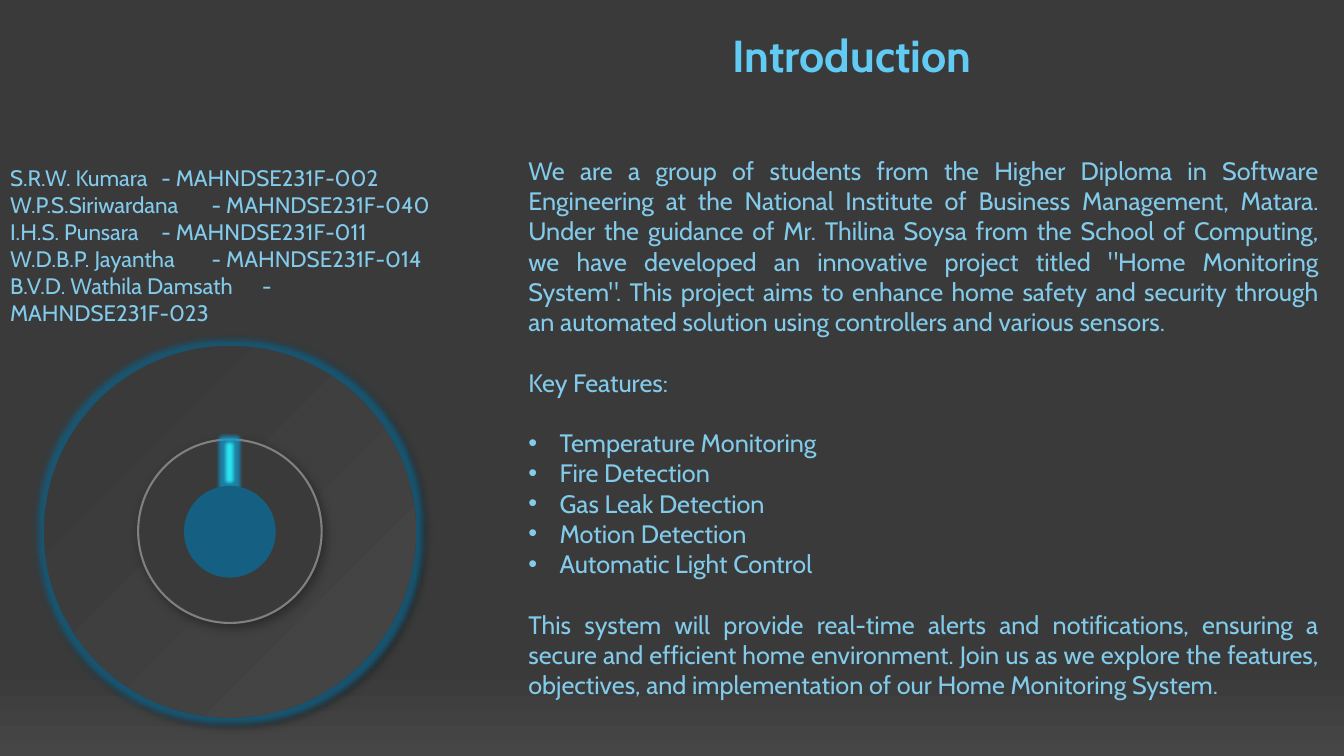
from lxml.etree import SubElement
from pptx import Presentation
from pptx.dml.color import RGBColor
from pptx.enum.shapes import MSO_SHAPE
from pptx.enum.text import MSO_ANCHOR, MSO_AUTO_SIZE, PP_ALIGN
from pptx.oxml import parse_xml
from pptx.oxml.ns import nsdecls, qn
from pptx.util import Inches, Pt

NAMES = [
    ("S.R.W. Kumara", "002"),
    ("W.P.S.Siriwardana", "040"),
    ("I.H.S. Punsara", "011"),
    ("W.D.B.P. Jayantha", "014"),
    ("B.V.D. Wathila Damsath", "023"),
]
INTRO = (
    "We are a group of students from the Higher Diploma in Software Engineering "
    "at the National Institute of Business Management, Matara. Under the guidance "
    "of Mr. Thilina Soysa from the School of Computing, we have developed an "
    "innovative project titled \"Home Monitoring System\". This project aims to "
    "enhance home safety and security through an automated solution using "
    "controllers and various sensors."
)
ITEMS = ["Temperature Monitoring", "Fire Detection", "Gas Leak Detection",
         "Motion Detection", "Automatic Light Control"]
CLOSE = (
    "This system will provide real-time alerts and notifications, ensuring a "
    "secure and efficient home environment. Join us as we explore the features, "
    "objectives, and implementation of our Home Monitoring System."
)
SKY, BLUE, DARK, PALE = "83CBEB", "156082", "3A3A3A", "464646"


def tint(color, code):
    color.rgb = RGBColor.from_string(code)


def glow(shape, inner):
    xml = f"<a:effectLst {nsdecls('a')}>{inner}</a:effectLst>"
    props = shape._element.spPr
    for old in props.findall(qn("a:effectLst")):
        props.remove(old)
    props.append(parse_xml(xml))


deck = Presentation()
deck.slide_width, deck.slide_height = Inches(13.33), Inches(7.5)
slide = deck.slides.add_slide(deck.slide_layouts[3])
title, team, body = slide.placeholders

back = slide.background.fill
back.gradient()
back.gradient_angle = 90
for stop, code, place in zip(back.gradient_stops, (PALE, DARK), (0, 0.12)):
    tint(stop.color, code)
    stop.position = place

boxes = [(title, 7.08, 0.22, 2.74, 0.64), (team, 0, 1.58, 4.67, 1.48),
         (body, 5.14, 1.49, 8.04, 5.86)]
for box, *area in boxes:
    box.left, box.top, box.width, box.height = map(Inches, area)
    frame = box.text_frame
    frame.word_wrap = box is not title
    frame.auto_size = MSO_AUTO_SIZE.NONE
    frame.vertical_anchor = MSO_ANCHOR.TOP

title.text_frame.text = "Introduction"
team.text_frame.text = "\n".join(f"{name}\t- MAHNDSE231F-{code}" for name, code in NAMES)
body.text_frame.text = "\n".join([INTRO, "Key Features:", *ITEMS, CLOSE])

for box, size, code, side in [(title, 32, "61CBF4", PP_ALIGN.CENTER),
                              (team, 16, SKY, PP_ALIGN.LEFT),
                              (body, 18, SKY, PP_ALIGN.JUSTIFY)]:
    for para in box.text_frame.paragraphs:
        props = para._p.get_or_add_pPr()
        item = para.text in ITEMS
        indent = Inches(0.31) if item else 0
        props.set("marL", str(indent))
        props.set("indent", str(-indent))
        if item:
            SubElement(props, qn("a:buFont"), typeface="Arial")
            SubElement(props, qn("a:buChar"), char="•")
        else:
            SubElement(props, qn("a:buNone"))
        if box is team:
            tabs = SubElement(props, qn("a:tabLst"))
            SubElement(tabs, qn("a:tab"), pos=str(Inches(4.46)), algn="r")
        gap = para.text in ("Key Features:", ITEMS[0], CLOSE)
        para.space_before = Pt(21.6 if gap else 0)
        para.alignment = side
        para.font.name = "Cabin"
        para.font.size = Pt(size)
        para.font.bold = box is title
        tint(para.font.color, code)

mid_x, mid_y = 2.28, 5.27
bar_w, bar_h = 0.14, 0.46
parts = []
for kind, wide, high, low in [(MSO_SHAPE.OVAL, 3.69, 3.69, mid_y + 1.85),
                              (MSO_SHAPE.OVAL, 1.82, 1.82, mid_y + 0.91),
                              (MSO_SHAPE.ROUNDED_RECTANGLE, bar_w, bar_h, mid_y - 0.45),
                              (MSO_SHAPE.OVAL, 0.91, 0.91, mid_y + 0.46)]:
    part = slide.shapes.add_shape(kind, Inches(mid_x - wide / 2), Inches(low - high),
                                  Inches(wide), Inches(high))
    part.shadow.inherit = False
    part.line.fill.background()
    parts.append(part)
dial, ring, bar, knob = parts

dial.fill.gradient()
for stop, code, place in zip(dial.fill.gradient_stops, (PALE, DARK), (0, 0.86)):
    tint(stop.color, code)
    stop.position = place
grad = dial._element.spPr.find(qn("a:gradFill"))
grad.remove(grad.find(qn("a:lin")))
way = SubElement(grad, qn("a:path"), path="circle")
SubElement(way, qn("a:fillToRect"), l="100000", t="100000")

for part, code in [(ring, DARK), (bar, "2DE6EF"), (knob, BLUE)]:
    part.fill.solid()
    tint(part.fill.fore_color, code)
tint(ring.line.color, "808080")
ring.line.width = Pt(1.5)

halo = '<a:glow rad="{}"><a:srgbClr val="{}"><a:alpha val="{}"/></a:srgbClr></a:glow>'
shade = ('<a:outerShdw blurRad="{}" dist="{}" dir="2700000" algn="tl" rotWithShape="0">'
         '<a:srgbClr val="000000"><a:alpha val="{}"/></a:srgbClr></a:outerShdw>')
glow(dial, halo.format(Pt(8), BLUE, 80000) + shade.format(Pt(4), Pt(3), 44000))
glow(ring, shade.format(Pt(8), Pt(3), 34000))
glow(bar, halo.format(Pt(5), "0F9ED5", 70000) + f'<a:softEdge rad="{Pt(2.5)}"/>')

deck.save("out.pptx")
